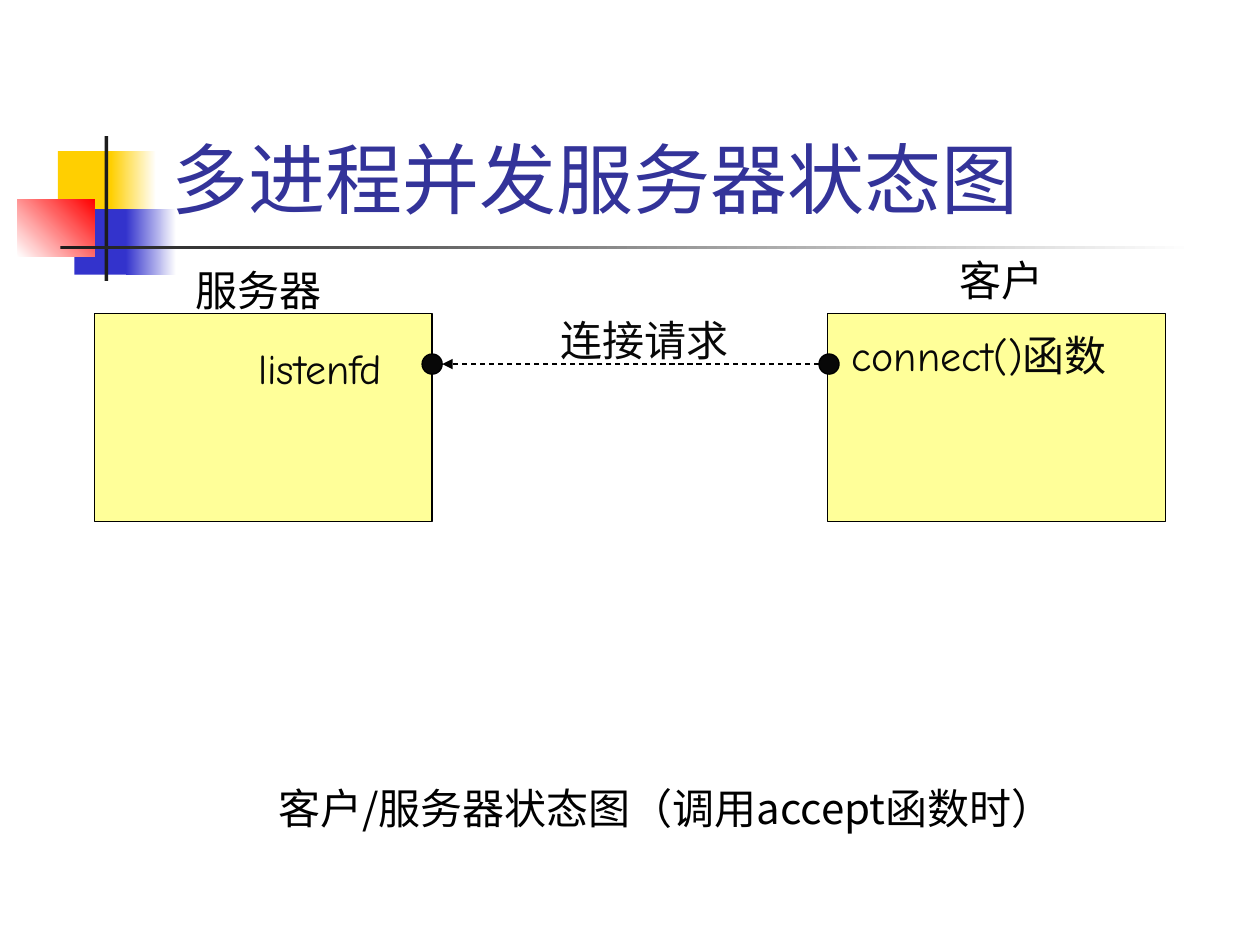
from dataclasses import dataclass

import pptx
import pptx.dml.color
import pptx.enum.dml
import pptx.enum.shapes
import pptx.enum.text
import pptx.util
from lxml import etree
from pptx.util import Inches

SHAPE = pptx.enum.shapes.MSO_SHAPE
AUTO_SIZE = pptx.enum.text.MSO_AUTO_SIZE


@dataclass(frozen=True)
class Theme:
    title: str = "333399"
    gold: str = "FFCF01"
    blue: str = "3333CC"
    red: str = "FF0000"
    bar: str = "1C1C1C"
    white: str = "FFFFFF"
    panel: str = "FFFF99"
    ink: str = "000000"
    soft_ink: str = "080808"
    title_font: str = "Karla"
    label_font: str = "Arial"
    code_font: str = "Comic Neue"
    caption_font: str = "Noto Sans CJK JP"
    title_size: int = 44
    text_size: int = 24
    line_width: float = 0.75


THEME = Theme()


def rgb(value):
    return pptx.dml.color.RGBColor.from_string(value)


def add_block(page, box, fill, kind=SHAPE.RECTANGLE, outlined=False):
    shape = page.shapes.add_shape(kind, *map(Inches, box))
    shape.shadow.inherit = False
    shape.fill.solid()
    shape.fill.fore_color.rgb = rgb(fill)
    if outlined:
        shape.line.color.rgb = rgb(THEME.ink)
        shape.line.width = pptx.util.Pt(THEME.line_width)
    else:
        shape.line.fill.background()
    return shape


def add_fade(page, box, start, end, angle=0):
    """Add a block with a gradient; the angle runs counter-clockwise."""
    fill = add_block(page, box, start).fill
    fill.gradient()
    fill.gradient_angle = angle
    for stop, color, position in zip(fill.gradient_stops, (start, end), (0, 1)):
        stop.color.rgb = rgb(color)
        stop.position = position


def write(frame, text, font, size, color):
    para = frame.paragraphs[0]
    para.alignment = pptx.enum.text.PP_ALIGN.LEFT
    span = para.add_run()
    span.text = text
    span.font.name = font
    span.font.size = pptx.util.Pt(size)
    span.font.color.rgb = rgb(color)


def add_label(page, box, text, font, color=THEME.ink, wrap=False):
    """Add a text box that grows with its text, sideways unless it wraps."""
    frame = page.shapes.add_textbox(*map(Inches, box)).text_frame
    frame.word_wrap = wrap
    frame.auto_size = AUTO_SIZE.SHAPE_TO_FIT_TEXT
    write(frame, text, font, THEME.text_size, color)


def add_ornament(page, box):
    left, top, width, height = box
    add_block(page, (left + 0.32, top + 0.12, 0.48, 0.52), THEME.gold)
    add_fade(page, (left + 0.74, top + 0.12, 0.36, 0.52), THEME.gold, THEME.white)
    add_block(page, (left + 0.45, top + 0.58, 0.46, 0.52), THEME.blue)
    add_fade(page, (left + 0.86, top + 0.58, 0.4, 0.52), THEME.blue, THEME.white)
    add_fade(page, (left, top + 0.5, 0.61, 0.46), THEME.white, THEME.red, 45)
    add_block(page, (left + 0.69, top, 0.03, height), THEME.bar)
    add_fade(page, (left + 0.34, top + 0.87, width - 0.34, 0.03), THEME.bar, THEME.white)


def place_title(page, box, text):
    title = page.shapes.title
    title.left, title.top, title.width, title.height = map(Inches, box)
    frame = title.text_frame
    frame.word_wrap = True
    frame.auto_size = AUTO_SIZE.NONE
    frame.vertical_anchor = pptx.enum.text.MSO_ANCHOR.BOTTOM
    write(frame, text, THEME.title_font, THEME.title_size, THEME.title)


def add_host(page, box, name, name_box, call, call_box):
    """Add a process panel; the label boxes are offsets from its corner."""
    left, top = box[:2]
    add_block(page, box, THEME.panel, outlined=True)
    for text, (across, down, width), font, color in (
        (name, name_box, THEME.label_font, THEME.ink),
        (call, call_box, THEME.code_font, THEME.soft_ink),
    ):
        add_label(page, (left + across, top + down, width, 0.5), text, font, color)


def add_request(page, box, text):
    """Join the sides of the box by a dashed arrow that points left."""
    left, top, width, height = box
    right, middle = left + width, top + height / 2
    for center in (left, right):
        dot = (center - height / 2, top, height, height)
        add_block(page, dot, THEME.soft_ink, SHAPE.OVAL, outlined=True)
    arrow = page.shapes.add_connector(
        pptx.enum.shapes.MSO_CONNECTOR.STRAIGHT,
        *map(Inches, (right - height / 2, middle, left + height / 2, middle)),
    )
    arrow.line.color.rgb = rgb(THEME.ink)
    arrow.line.width = pptx.util.Pt(THEME.line_width)
    arrow.line.dash_style = pptx.enum.dml.MSO_LINE.DASH
    main_space = "{http://schemas.openxmlformats.org/drawingml/2006/main}"
    properties = arrow._element.spPr
    etree.SubElement(properties.find(main_space + "ln"), main_space + "tailEnd",
                     type="triangle")
    etree.SubElement(properties, main_space + "effectLst")
    add_label(page, (left + 0.92, top - 0.36, 1.53, 0.5), text,
              THEME.label_font, THEME.soft_ink)


def main():
    deck = pptx.Presentation()
    deck.slide_width, deck.slide_height = Inches(10), Inches(7.5)
    page = deck.slides.add_slide(deck.slide_layouts[5])
    add_ornament(page, (0.14, 1.08, 9.34, 1.15))
    place_title(page, (1.26, 0.23, 8.52, 1.6), "多进程并发服务器状态图")
    add_host(page, (0.75, 2.49, 2.68, 1.65), "服务器", (0.7, -0.44, 1.2),
             "listenfd", (1.2, 0.18, 1.2))
    add_host(page, (6.57, 2.49, 2.68, 1.65), "客户", (0.95, -0.52, 0.88),
             "connect()函数", (0.09, 0.08, 2.34))
    add_request(page, (3.43, 2.81, 3.15, 0.16), "连接请求")
    add_label(page, (2.11, 6.16, 6.6, 0.5), "客户/服务器状态图（调用accept函数时）",
              THEME.caption_font, wrap=True)
    deck.save("out.pptx")


if __name__ == "__main__":
    main()
